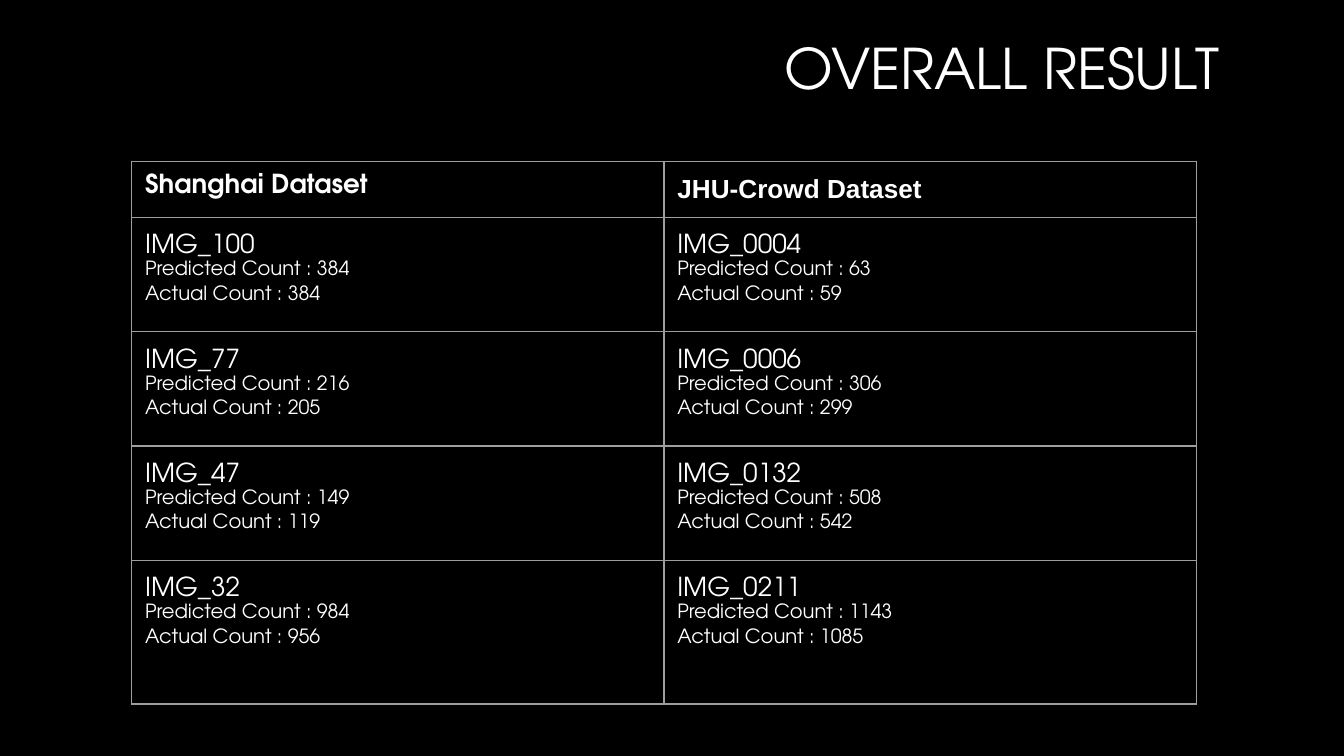
"""Build the overall result slide comparing predicted and actual crowd counts."""
from lxml.etree import SubElement
from pptx import Presentation
from pptx.dml.color import RGBColor
from pptx.enum.text import MSO_ANCHOR, PP_ALIGN
from pptx.oxml.ns import qn
from pptx.util import Inches, Pt

BLACK = RGBColor(0x00, 0x00, 0x00)
WHITE = RGBColor(0xFF, 0xFF, 0xFF)
GREY = RGBColor(0x9E, 0x9E, 0x9E)
FONT = "TeX Gyre Adventor"

TITLE = "OVERALL RESULT"
HEADERS = [("Shanghai Dataset", FONT), ("JHU-Crowd Dataset", "Arial")]
RESULTS = [
    [("IMG_100", 384, 384), ("IMG_0004", 63, 59)],
    [("IMG_77", 216, 205), ("IMG_0006", 306, 299)],
    [("IMG_47", 149, 119), ("IMG_0132", 508, 542)],
    [("IMG_32", 984, 956), ("IMG_0211", 1143, 1085)],
]
COL_WIDTH = 3.96
ROW_HEIGHTS = [0.4, 0.85, 0.85, 0.85, 1.07]


def write(p, text, spacing, **fmt):
    p.line_spacing = spacing
    r = p.add_run()
    r.text = text
    r.font.color.rgb = WHITE
    for name, value in {"name": FONT, "bold": False, **fmt}.items():
        setattr(r.font, name, value)


def style_cell(cell):
    for side in ("left", "right", "top", "bottom"):
        setattr(cell, f"margin_{side}", Inches(0.1))
    tc_pr = cell._tc.get_or_add_tcPr()
    for tag in ("a:lnL", "a:lnR", "a:lnT", "a:lnB"):
        ln = SubElement(tc_pr, qn(tag), w=str(Pt(0.75)))
        fill = SubElement(ln, qn("a:solidFill"))
        SubElement(fill, qn("a:srgbClr"), val=str(GREY))
    cell.fill.background()


def add_title(s):
    sp = s.shapes.title
    box = {"left": 2.11, "top": 0, "width": 7.06, "height": 1.06}
    for name, value in box.items():
        setattr(sp, name, Inches(value))
    tf = sp.text_frame
    tf.word_wrap = True
    tf.vertical_anchor = MSO_ANCHOR.MIDDLE
    p = tf.paragraphs[0]
    p.alignment = PP_ALIGN.RIGHT
    write(p, TITLE, 0.9, size=Pt(30))


def add_results(s):
    rows, cols = len(ROW_HEIGHTS), len(HEADERS)
    table = s.shapes.add_table(
        rows, cols, Inches(0.98), Inches(1.2),
        Inches(COL_WIDTH * cols), Inches(sum(ROW_HEIGHTS))).table
    for col in table.columns:
        col.width = Inches(COL_WIDTH)
    for row, height in zip(table.rows, ROW_HEIGHTS):
        row.height = Inches(height)
    for cell in table.iter_cells():
        style_cell(cell)

    for c, (text, font) in enumerate(HEADERS):
        p = table.cell(0, c).text_frame.paragraphs[0]
        write(p, text, 1.0, size=Pt(14), name=font, bold=True)
    for r, results in enumerate(RESULTS, 1):
        for c, (image, predicted, actual) in enumerate(results):
            tf = table.cell(r, c).text_frame
            write(tf.paragraphs[0], image, 1.15, size=Pt(14))
            write(tf.add_paragraph(), f"Predicted Count : {predicted}", 1.15, size=Pt(10.5))
            write(tf.add_paragraph(), f"Actual Count : {actual}", 1.36, size=Pt(10.5))


def main():
    prs = Presentation()
    prs.slide_width = Inches(10)
    prs.slide_height = prs.slide_width * 9 // 16
    s = prs.slides.add_slide(prs.slide_layouts[5])
    s.background.fill.solid()
    s.background.fill.fore_color.rgb = BLACK
    add_title(s)
    add_results(s)
    prs.save("out.pptx")


if __name__ == "__main__":
    main()
